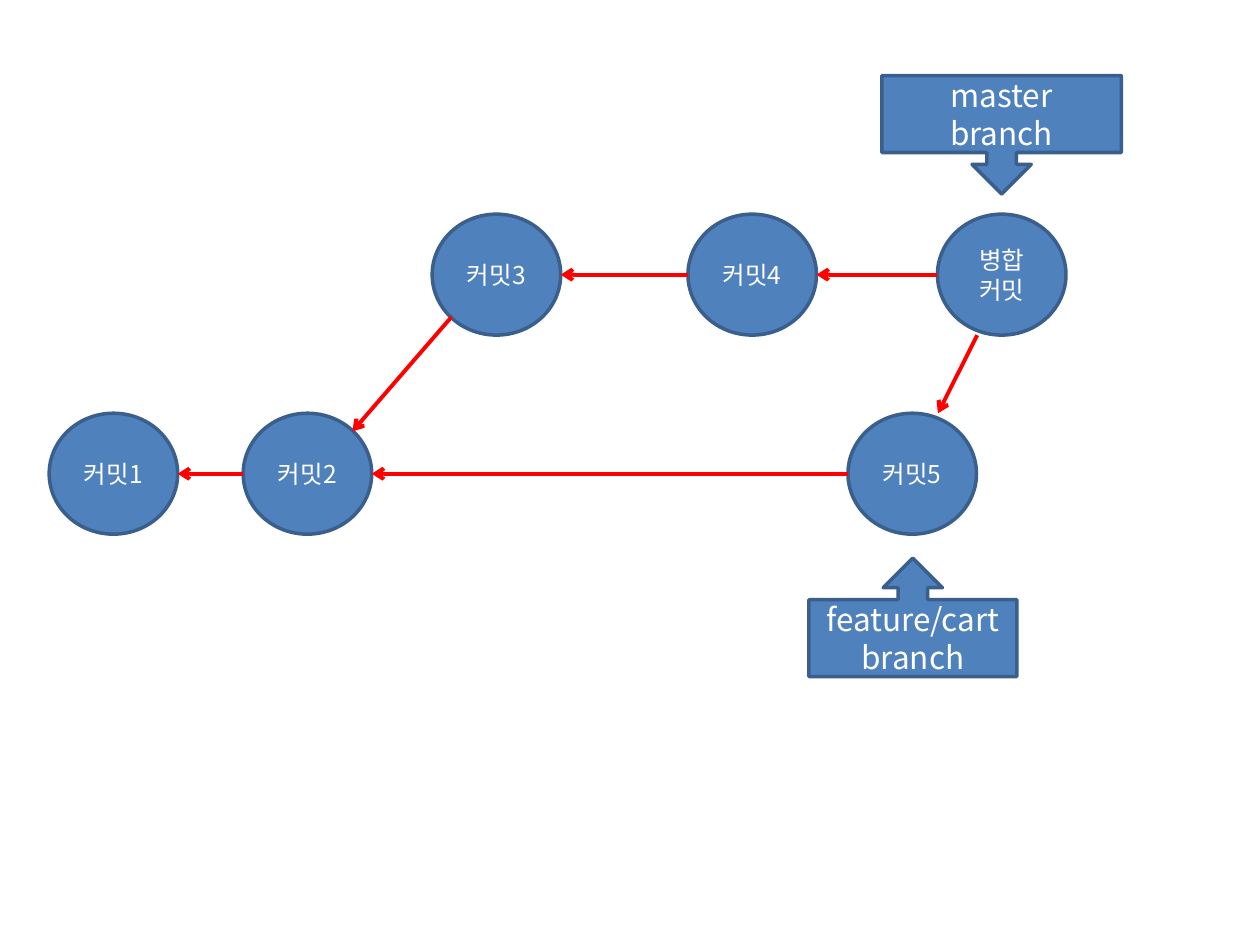
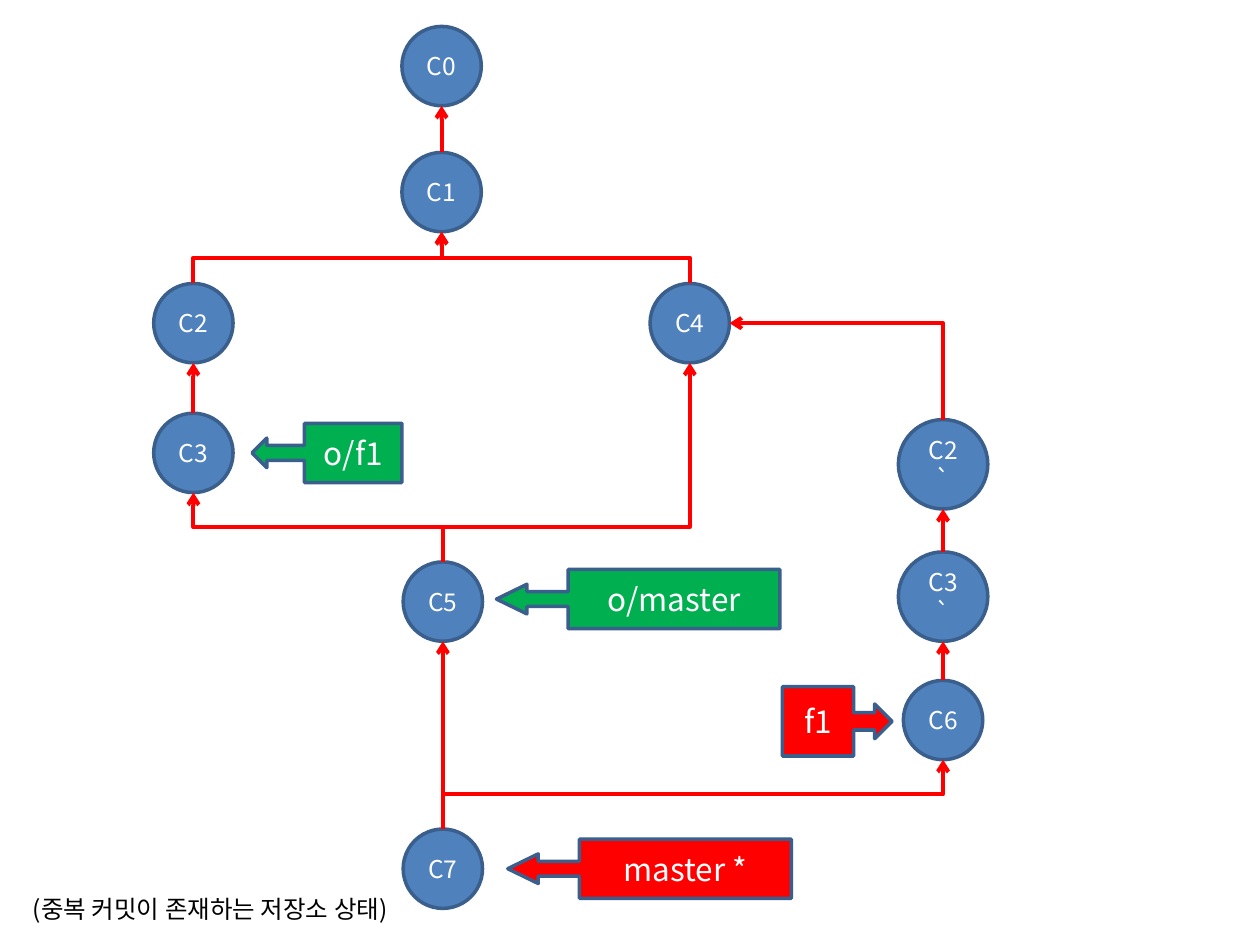
"""Build two commit-graph slides: a merged branch and a repository with duplicated commits."""
from lxml.etree import SubElement
from pptx import Presentation
from pptx.dml.color import RGBColor
from pptx.enum.shapes import MSO_CONNECTOR as Connector, MSO_SHAPE as Shape
from pptx.enum.text import MSO_ANCHOR as Anchor, MSO_AUTO_SIZE as AutoSize, PP_ALIGN as Align
from pptx.oxml.ns import qn
from pptx.util import Inches, Pt

FONT = "Noto Sans CJK KR"
BLUE = RGBColor(0x4F, 0x81, 0xBD)
OUTLINE = RGBColor(0x3A, 0x5F, 0x8C)
RED = RGBColor(0xFF, 0x00, 0x00)
GREEN = RGBColor(0x00, 0xB0, 0x50)
WHITE = RGBColor(0xFF, 0xFF, 0xFF)
BLACK = RGBColor(0x00, 0x00, 0x00)

PORTS = {
    "top": (0.5, 0), "left": (0, 0.5), "bottom": (0.5, 1), "right": (1, 0.5),
    "top right": (0.85, 0.15), "bottom left": (0.15, 0.85),
    "top, off centre": (0.7, 0), "bottom, off centre": (0.31, 1),
}
LONG_ARROW = (0.25, 0.25, 0.515, 0.747)

WIDE, SMALL, LARGE = (1.02, 0.96), (0.63, 0.63), (0.71, 0.71)
UPPER_ROW, LOWER_ROW = 1.7, 3.28

MERGE_GRAPH = {
    "commits": {
        "커밋1": (0.39, LOWER_ROW, *WIDE),
        "커밋2": (1.93, LOWER_ROW, *WIDE),
        "커밋3": (3.43, UPPER_ROW, *WIDE),
        "커밋4": (5.46, UPPER_ROW, *WIDE),
        "커밋5": (6.73, LOWER_ROW, *WIDE),
        "병합커밋": (7.44, UPPER_ROW, *WIDE),
    },
    "straight": [
        ("커밋2", "left", "커밋1", "right"),
        ("커밋3", "bottom left", "커밋2", "top right"),
        ("커밋4", "left", "커밋3", "right"),
        ("커밋5", "left", "커밋2", "right"),
        ("병합커밋", "left", "커밋4", "right"),
        ("병합커밋", "bottom, off centre", "커밋5", "top, off centre"),
    ],
    "bent": [],
    "branches": [
        ("feature/cart\nbranch", Shape.UP_ARROW_CALLOUT, (6.42, 4.43, 1.65, 0.94), BLUE, ()),
        ("master\nbranch", Shape.DOWN_ARROW_CALLOUT, (7, 0.6, 1.9, 0.94), BLUE, ()),
    ],
}

DUPLICATE_GRAPH = {
    "commits": {
        "C0": (3.19, 0.21, *SMALL),
        "C1": (3.19, 1.21, *SMALL),
        "C2": (1.22, 2.25, *SMALL),
        "C3": (1.22, 3.28, *SMALL),
        "C4": (5.16, 2.25, *SMALL),
        "C2`": (7.13, 3.33, *LARGE),
        "C3`": (7.13, 4.38, *LARGE),
        "C6": (7.17, 5.4, *SMALL),
        "C5": (3.2, 4.46, *SMALL),
        "C7": (3.2, 6.58, *SMALL),
    },
    "straight": [
        (child, "top", parent, "bottom")
        for child, parent in [("C1", "C0"), ("C3", "C2"), ("C3`", "C2`"), ("C6", "C3`"), ("C7", "C5")]
    ],
    "bent": [
        ("C2", "C1", "bottom", 0.5),
        ("C4", "C1", "bottom", 0.5),
        ("C5", "C3", "bottom", 0.5),
        ("C5", "C4", "bottom", 0.176),
        ("C2`", "C4", "right", None),
        ("C7", "C6", "bottom", 0.5),
    ],
    "branches": [
        ("o/f1", Shape.LEFT_ARROW_CALLOUT, (2, 3.36, 1.19, 0.47), GREEN, ()),
        ("o/master", Shape.LEFT_ARROW_CALLOUT, (3.94, 4.52, 2.25, 0.47), GREEN, LONG_ARROW),
        ("f1", Shape.RIGHT_ARROW_CALLOUT, (6.21, 5.45, 0.87, 0.55), RED, ()),
        ("master *", Shape.LEFT_ARROW_CALLOUT, (4.03, 6.66, 2.25, 0.47), RED, LONG_ARROW),
    ],
}
CAPTION = "(중복 커밋이 존재하는 저장소 상태)"
CAPTION_BOX = (0, 7.05, 3.34, 0.34)


def inches(values):
    return [Inches(value) for value in values]


def write(shape, text, size, color):
    paragraph = shape.text_frame.paragraphs[0]
    paragraph.text = text
    paragraph.alignment = Align.CENTER
    for run in paragraph.runs:
        run.font.size = Pt(size)
        run.font.name = FONT
        run.font.color.rgb = color
        SubElement(run.font._element, qn("a:ea")).set("typeface", FONT)


def add_label(slide, kind, box, text, size, fill, adjustments=()):
    shape = slide.shapes.add_shape(kind, *inches(box))
    shape.shadow.inherit = False
    shape.fill.solid()
    shape.fill.fore_color.rgb = fill
    shape.line.color.rgb = OUTLINE
    shape.line.width = Pt(2)
    for index, value in enumerate(adjustments):
        shape.adjustments[index] = value
    shape.text_frame.vertical_anchor = Anchor.MIDDLE
    write(shape, text, size, WHITE)


def port_point(box, port):
    left, top, width, height = box
    across, down = PORTS[port]
    return left + across * width, top + down * height


def add_arrow(slide, kind, begin, end):
    connector = slide.shapes.add_connector(kind, *inches((*begin, *end)))
    connector.line.color.rgb = RED
    connector.line.width = Pt(2.25)
    SubElement(connector.line._get_or_add_ln(), qn("a:tailEnd")).set("type", "arrow")
    SubElement(connector._element.spPr, qn("a:effectLst"))
    return connector


def add_bent_arrow(slide, begin, end, bend):
    """Draw an elbow that leaves upwards, as a sideways elbow turned a quarter."""
    (x1, y1), (x2, y2) = begin, end
    middle_x, middle_y = (x1 + x2) / 2, (y1 + y2) / 2
    half_width, half_height = abs(y2 - y1) / 2, abs(x2 - x1) / 2
    side, degrees = (1, 90) if x2 > x1 else (-1, 270)
    connector = add_arrow(
        slide, Connector.ELBOW,
        (middle_x + side * half_width, middle_y + half_height),
        (middle_x - side * half_width, middle_y - half_height))
    properties = connector._element.spPr
    properties.find(qn("a:xfrm")).set("rot", str(degrees * 60000))
    geometry = properties.find(qn("a:prstGeom"))
    if bend is None:
        geometry.set("prst", "bentConnector2")
    else:
        guide = SubElement(geometry.find(qn("a:avLst")), qn("a:gd"))
        guide.set("name", "adj1")
        guide.set("fmla", f"val {round(bend * 100000)}")


def add_graph(presentation, graph):
    slide = presentation.slides.add_slide(presentation.slide_layouts[6])
    commits = graph["commits"]
    for name, box in commits.items():
        add_label(slide, Shape.OVAL, box, name, 14, BLUE)
    for child, child_port, parent, parent_port in graph["straight"]:
        add_arrow(slide, Connector.STRAIGHT, port_point(commits[child], child_port),
                  port_point(commits[parent], parent_port))
    for child, parent, parent_port, bend in graph["bent"]:
        add_bent_arrow(slide, port_point(commits[child], "top"),
                       port_point(commits[parent], parent_port), bend)
    for name, kind, box, fill, adjustments in graph["branches"]:
        add_label(slide, kind, box, name, 18, fill, adjustments)
    return slide


def main():
    presentation = Presentation()
    presentation.slide_width, presentation.slide_height = Inches(10), Inches(7.5)
    add_graph(presentation, MERGE_GRAPH)
    slide = add_graph(presentation, DUPLICATE_GRAPH)
    caption = slide.shapes.add_textbox(*inches(CAPTION_BOX))
    caption.text_frame.word_wrap = False
    caption.text_frame.auto_size = AutoSize.SHAPE_TO_FIT_TEXT
    write(caption, CAPTION, 14, BLACK)
    presentation.save("out.pptx")


if __name__ == "__main__":
    main()
